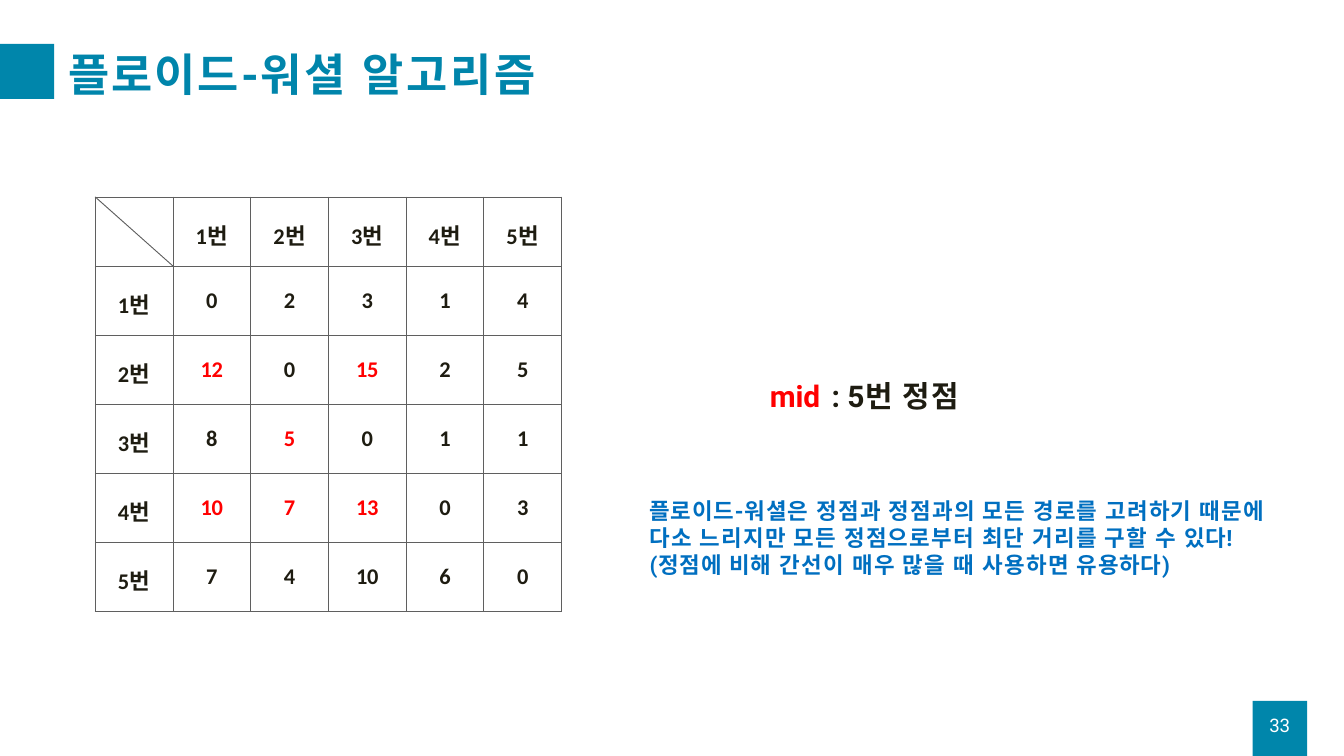
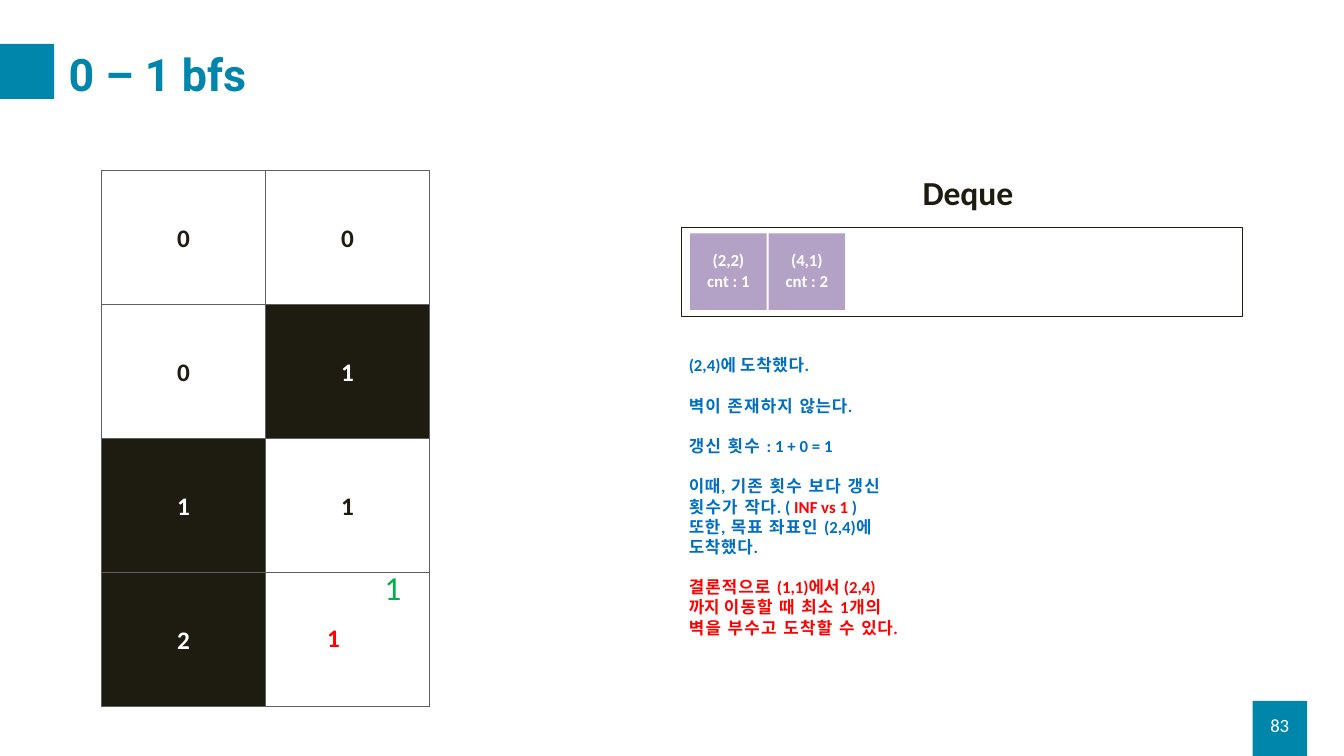
from lxml import etree
from pptx import Presentation
from pptx.dml.color import RGBColor
from pptx.enum.shapes import MSO_CONNECTOR, MSO_SHAPE
from pptx.enum.text import MSO_ANCHOR as ANCHOR, PP_ALIGN as ALIGN
from pptx.oxml.ns import qn
from pptx.util import Pt

TEAL, TITLE, INK, GREY = "0086AB", "0085AB", "1E1C11", "5F5F5F"
RED, BLUE, GREEN, LILAC, WHITE = "FF0000", "006FC0", "00AF50", "B3A1C6", "FFFFFF"
LATIN, HANGUL = "Calibri", "Roboto"


def paint(fill, colour):
    fill.solid()
    fill.fore_color.rgb = RGBColor.from_string(colour)


def write(paragraph, size, runs, bold=True, asian=HANGUL):
    for text, name, colour, spacing in runs:
        run = paragraph.add_run()
        run.text = text
        run.font.size = Pt(size)
        run.font.bold = bold
        run.font.name = name
        paint(run.font.fill, colour)
        properties = run.font._element
        properties.set("spc", str(round(spacing * 100)))
        if asian:
            etree.SubElement(properties, qn("a:ea")).set("typeface", asian)


presentation = Presentation()
presentation.slide_width, presentation.slide_height = Pt(1440), Pt(810)
layout = presentation.slide_layouts[5]

titles = [
    [("플로이드-", HANGUL, TITLE, 2.1), ("워셜 ", HANGUL, TITLE, 3.1), ("알고리즘", HANGUL, TITLE, 2.9)],
    [("0 – 1 ", HANGUL, TITLE, 0), ("bfs", HANGUL, TITLE, 0.1)],
]
for runs in titles:
    title = presentation.slides.add_slide(layout).shapes.title
    title.left, title.top, title.width, title.height = Pt(73.5), Pt(49.5), Pt(1314), Pt(59)
    frame = title.text_frame
    frame.margin_left = frame.margin_right = frame.margin_top = frame.margin_bottom = 0
    frame.vertical_anchor = ANCHOR.MIDDLE
    frame.paragraphs[0].alignment = ALIGN.LEFT
    write(frame.paragraphs[0], 48, runs)
floyd, bfs = presentation.slides

for left, top in [(1342, 751), (-0.5, 47)]:
    band = floyd.shapes.add_shape(MSO_SHAPE.RECTANGLE, Pt(left), Pt(top), Pt(58.5), Pt(59))
    band.shadow.inherit = False
    paint(band.fill, TEAL)
    band.line.fill.background()
    layout.shapes.element.insert(2, band.element)

distances = [
    [0, 2, 3, 1, 4],
    [12, 0, 15, 2, 5],
    [8, 5, 0, 1, 1],
    [10, 7, 13, 0, 3],
    [7, 4, 10, 6, 0],
]
updated = {(2, 1), (2, 3), (3, 2), (4, 1), (4, 2), (4, 3)}
distance_table = floyd.shapes.add_table(6, 6, Pt(102), Pt(211), Pt(499.8), Pt(444)).table
for row in range(6):
    for column in range(6):
        cell = distance_table.cell(row, column)
        if row and column:
            value = str(distances[row - 1][column - 1])
            colour = RED if (row, column) in updated else INK
            runs = [(value, LATIN, colour, -0.2 if len(value) > 1 else -0.5)]
        elif row or column:
            runs = [(str(row or column), LATIN, INK, 0.6), ("번", HANGUL, INK, 0.6)]
        else:
            runs = []
        write(cell.text_frame.paragraphs[0], 24, runs, asian=None)

walls = {(1, 1), (2, 0), (3, 0)}
maze = [["0", "0"], ["0", "1"], ["1", "1"], ["2", "1"]]
maze_table = bfs.shapes.add_table(4, 2, Pt(109), Pt(183), Pt(351), Pt(574.4)).table
for row, values in enumerate(maze):
    for column, value in enumerate(values):
        paragraph = maze_table.cell(row, column).text_frame.paragraphs[0]
        if (row, column) == (3, 1):
            write(paragraph, 36, [(value, LATIN, GREEN, -0.5)], bold=False)
            paragraph.line_spacing = Pt(39.3)
            paragraph = maze_table.cell(row, column).text_frame.add_paragraph()
            paragraph.space_before = Pt(14.8)
            colour = RED
        else:
            colour = WHITE if (row, column) in walls else INK
        write(paragraph, 27, [(value, LATIN, colour, -0.5)])

for table, row_height, column_width, margin_top, filled in [
    (distance_table, 74, 83.3, 23, set()),
    (maze_table, 143.6, 175.5, 56, walls),
]:
    table.first_row = table.horz_banding = False
    for table_column in table.columns:
        table_column.width = Pt(column_width)
    for row, table_row in enumerate(table.rows):
        table_row.height = Pt(row_height)
        for column, cell in enumerate(table_row.cells):
            cell.margin_left = cell.margin_right = cell.margin_bottom = 0
            cell.margin_top = Pt(margin_top)
            for paragraph in cell.text_frame.paragraphs:
                paragraph.alignment = ALIGN.CENTER
            properties = cell._tc.get_or_add_tcPr()
            for side in ("lnL", "lnR", "lnT", "lnB"):
                border = etree.SubElement(properties, qn("a:" + side), w=str(Pt(1)))
                solid = etree.SubElement(border, qn("a:solidFill"))
                etree.SubElement(solid, qn("a:srgbClr"), val=GREY)
            if (row, column) in filled:
                paint(cell.fill, INK)
            else:
                cell.fill.background()

goal = maze_table.cell(3, 1)
goal.margin_top, goal.margin_right = 0, Pt(30)
goal.text_frame.paragraphs[0].alignment = ALIGN.RIGHT

diagonal = floyd.shapes.add_connector(MSO_CONNECTOR.STRAIGHT, Pt(102), Pt(211), Pt(185.3), Pt(285))
paint(diagonal.line.fill, GREY)
diagonal.line.width = Pt(1)
etree.SubElement(diagonal.element.spPr, qn("a:effectLst"))

deque = bfs.shapes.add_shape(MSO_SHAPE.RECTANGLE, Pt(730), Pt(243.5), Pt(601), Pt(96))
deque.shadow.inherit = False
deque.fill.background()
paint(deque.line.fill, INK)
deque.line.width = Pt(1)

boxes = [
    (floyd, (825, 404, 245, 40), 0, 32, ALIGN.LEFT, [
        (0, [("mid\t", HANGUL, RED, -0.2), (": ", HANGUL, INK, 0),
             ("5번 ", HANGUL, INK, 1.1), ("정점", HANGUL, INK, 1.6)]),
    ]),
    (floyd, (696, 532, 703, 88), 20, 24, ALIGN.LEFT, [
        (0, [("플로이드-", HANGUL, BLUE, 0.8),
             ("워셜은 정점과 정점과의 모든 경로를 고려하기 때문에 다소 느리지만 "
              "모든 정점으로부터 최단 거리를 구할 수 ", HANGUL, BLUE, 1.3),
             ("있다!", HANGUL, BLUE, 0.6)]),
        (0, [("(정점에 ", HANGUL, BLUE, 0.9),
             ("비해 간선이 매우 많을 때 사용하면 ", HANGUL, BLUE, 1.4),
             ("유용하다)", HANGUL, BLUE, 0.7)]),
    ]),
    (bfs, (988.5, 183.5, 104, 45), 0, 36, ALIGN.LEFT, [
        (0, [("Deque", LATIN, INK, -0.1)]),
    ]),
    (bfs, (738, 379.5, 662, 220), 430, 18, ALIGN.LEFT, [
        (0, [("(2,4)", LATIN, BLUE, 0), ("에 ", HANGUL, BLUE, 0),
             ("도착했다", HANGUL, BLUE, 0.7), (".", LATIN, BLUE, 0.7)]),
        (21.6, [("벽이 존재하지 ", HANGUL, BLUE, 1.3), ("않는다", HANGUL, BLUE, 0.7),
                (".", LATIN, BLUE, 0.7)]),
        (21.6, [("갱신 횟수 ", HANGUL, BLUE, 1.4), (": 1 + 0 = 1", LATIN, BLUE, 0)]),
        (21.6, [("이때", HANGUL, BLUE, 0.8), (", ", LATIN, BLUE, 0.8),
                ("기존 횟수 보다 갱신 횟수가 ", HANGUL, BLUE, 1.4),
                ("작다", HANGUL, BLUE, 0.8), (". ( ", LATIN, BLUE, 0),
                ("INF vs 1 ", LATIN, RED, 0), (")", LATIN, BLUE, -0.5)]),
        (0, [("또한", HANGUL, BLUE, 0.8), (", ", LATIN, BLUE, 0.8),
             ("목표 좌표인 ", HANGUL, BLUE, 1.2), ("(2,4)", LATIN, BLUE, 0),
             ("에 ", HANGUL, BLUE, 0), ("도착했다", HANGUL, BLUE, 0.8),
             (".", LATIN, BLUE, 0.8)]),
        (21.6, [("결론적으로 ", HANGUL, RED, 1.2), ("(1,1)", LATIN, RED, 0),
                ("에서 ", HANGUL, RED, 0), ("(2,4)", LATIN, RED, 0),
                ("까지 ", HANGUL, RED, 0), ("이동할 때 최소 ", HANGUL, RED, 1.3),
                ("1", LATIN, RED, 0.8), ("개의 ", HANGUL, RED, 0.8),
                ("벽을 부수고 도착할 수 ", HANGUL, RED, 1.4),
                ("있다", HANGUL, RED, 0.6), (".", LATIN, RED, 0.6)]),
    ]),
]
for index, (position, count) in enumerate([("(2,2)", "1"), ("(4,1)", "2")]):
    left = 739.5 + 84 * index
    tile = bfs.shapes.add_shape(MSO_SHAPE.RECTANGLE, Pt(left), Pt(250), Pt(82), Pt(82))
    tile.shadow.inherit = False
    paint(tile.fill, LILAC)
    tile.line.fill.background()
    boxes.append((bfs, (left + 16, 267, 50, 45), 0, 18, ALIGN.CENTER, [
        (0, [(position, LATIN, WHITE, -0.1)]),
        (0, [("cnt : ", LATIN, WHITE, 0), (count, LATIN, WHITE, -0.5)]),
    ]))

for slide, bounds, margin_right, size, alignment, paragraphs in boxes:
    frame = slide.shapes.add_textbox(*[Pt(length) for length in bounds]).text_frame
    frame.word_wrap = True
    frame.margin_left = frame.margin_bottom = 0
    frame.margin_top, frame.margin_right = Pt(1), Pt(margin_right)
    for index, (space_before, runs) in enumerate(paragraphs):
        paragraph = frame.add_paragraph() if index else frame.paragraphs[0]
        paragraph.alignment = alignment
        if space_before:
            paragraph.space_before = Pt(space_before)
        if "\t" in runs[0][0]:
            tabs = etree.SubElement(paragraph._p.get_or_add_pPr(), qn("a:tabLst"))
            etree.SubElement(tabs, qn("a:tab"), pos=str(Pt(66)), algn="l")
        write(paragraph, size, runs)

for slide, number, name in [(floyd, "33", HANGUL), (bfs, "83", LATIN)]:
    frame = slide.shapes.add_textbox(Pt(1342), Pt(769), Pt(58.5), Pt(20)).text_frame
    frame.word_wrap = True
    frame.margin_left = frame.margin_right = frame.margin_top = frame.margin_bottom = 0
    frame.vertical_anchor = ANCHOR.MIDDLE
    paragraph = frame.paragraphs[0]
    paragraph.alignment = ALIGN.CENTER
    paragraph.line_spacing = Pt(20.1)
    write(paragraph, 20, [(number, name, WHITE, -0.2)], bold=False)

presentation.save("out.pptx")
